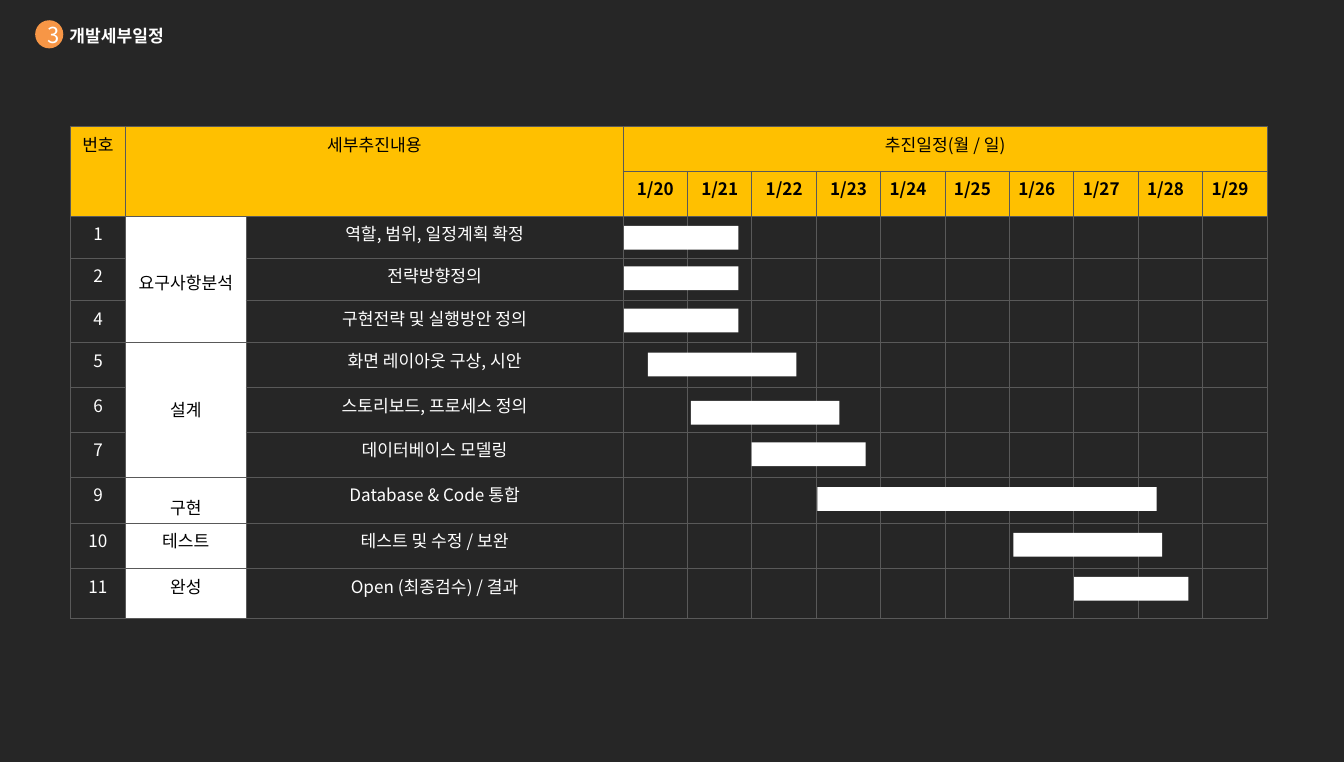
from dataclasses import dataclass

from lxml.etree import SubElement
from pptx import Presentation
from pptx.dml.color import RGBColor
from pptx.enum.shapes import MSO_SHAPE as Preset
from pptx.enum.text import MSO_ANCHOR as Anchor, MSO_AUTO_SIZE as AutoSize, PP_ALIGN as Align
from pptx.oxml.ns import qn
from pptx.util import Inches, Pt

FONT = "Noto Sans CJK KR"
COLORS = {
    "background": "262626",
    "header": "FFC000",
    "grid": "595959",
    "badge": "F79646",
    "light": "FFFFFF",
    "dark": "000000",
}
SLIDE_WIDTH = 15.29
SLIDE_HEIGHT = 8.664
DAY_COUNT = 10
FIRST_DAY = 20
CENTERED_DAYS = 4
FIRST_DAY_COLUMN = 3
HEADER_ROWS = 2
BAR_HEIGHT = 0.27
COLUMN_WIDTHS = [0.63, 1.37, 4.29] + [7.33 / DAY_COUNT] * DAY_COUNT
ROW_HEIGHTS = [0.51] * 2 + [0.48] * 3 + [0.51] * 3 + [0.52, 0.52, 0.56]


@dataclass
class Task:
    number: int
    content: str
    bar_left: float
    bar_top: float
    bar_width: float


@dataclass
class Phase:
    name: str
    tasks: list[Task]
    top_margin: float = 0.05
    line_spacing: float = 1.0


PHASES = [
    Phase("요구사항분석", [
        Task(1, "역할, 범위, 일정계획 확정", 7.1, 2.57, 1.3),
        Task(2, "전략방향정의", 7.1, 3.03, 1.3),
        Task(4, "구현전략 및 실행방안 정의", 7.1, 3.51, 1.3),
    ], top_margin=0.61),
    Phase("설계", [
        Task(5, "화면 레이아웃 구상, 시안", 7.37, 4.01, 1.69),
        Task(6, "스토리보드, 프로세스 정의", 7.86, 4.56, 1.69),
        Task(7, "데이터베이스 모델링", 8.55, 5.03, 1.3),
    ], top_margin=0.61),
    Phase("구현", [Task(9, "Database & Code 통합", 9.3, 5.54, 3.86)], line_spacing=1.5),
    Phase("테스트", [Task(10, "테스트 및 수정 / 보완", 11.53, 6.06, 1.69)]),
    Phase("완성", [Task(11, "Open (최종검수) / 결과", 12.22, 6.56, 1.3)]),
]


def rgb(color: str) -> RGBColor:
    return RGBColor.from_string(COLORS[color])


def write(frame, text: str, *, color: str = "light", size: int = 14, bold: bool = False,
          align: Align = Align.CENTER, line_spacing: float = 1.0) -> None:
    paragraph = frame.paragraphs[0]
    paragraph.alignment = align
    paragraph.line_spacing = line_spacing
    run = paragraph.add_run()
    run.text = text
    run.font.size = Pt(size)
    run.font.bold = bold
    run.font.color.rgb = rgb(color)
    run.font.name = FONT
    SubElement(run.font._element, qn("a:ea"), typeface=FONT)


def add_solid(slide, preset: Preset, left: float, top: float, width: float, height: float,
              color: str):
    solid = slide.shapes.add_shape(preset, Inches(left), Inches(top), Inches(width), Inches(height))
    solid.shadow.inherit = False
    solid.fill.solid()
    solid.fill.fore_color.rgb = rgb(color)
    solid.line.fill.background()
    return solid


def outline(cell) -> None:
    properties = cell._tc.get_or_add_tcPr()
    for side in ("lnL", "lnR", "lnT", "lnB"):
        border = SubElement(properties, qn(f"a:{side}"), w=str(Pt(1)))
        fill = SubElement(border, qn("a:solidFill"))
        SubElement(fill, qn("a:srgbClr"), val=COLORS["grid"])


def paint(cell, color: str) -> None:
    cell.fill.solid()
    cell.fill.fore_color.rgb = rgb(color)


def add_grid(slide):
    schedule = slide.shapes.add_table(
        len(ROW_HEIGHTS), len(COLUMN_WIDTHS), Inches(0.8), Inches(1.44),
        Inches(sum(COLUMN_WIDTHS)), Inches(sum(ROW_HEIGHTS))).table
    schedule.first_row = False
    schedule.horz_banding = False
    for column, width in zip(schedule.columns, COLUMN_WIDTHS):
        column.width = Inches(width)
    for row_index, (row, height) in enumerate(zip(schedule.rows, ROW_HEIGHTS)):
        row.height = Inches(height)
        for cell in row.cells:
            outline(cell)
            if row_index < HEADER_ROWS:
                paint(cell, "header")
            else:
                cell.fill.background()
    return schedule


def add_headers(schedule) -> None:
    last_column = FIRST_DAY_COLUMN + DAY_COUNT - 1
    headings = [
        ("번호", 0, 1, 0),
        ("세부추진내용", 1, 1, 2),
        ("추진일정(월 / 일)", FIRST_DAY_COLUMN, 0, last_column),
    ]
    for heading, first_column, end_row, end_column in headings:
        cell = schedule.cell(0, first_column)
        cell.merge(schedule.cell(end_row, end_column))
        write(cell.text_frame, heading, color="dark")
    for day in range(DAY_COUNT):
        write(schedule.cell(1, FIRST_DAY_COLUMN + day).text_frame, f"1/{FIRST_DAY + day}",
              color="dark", bold=True,
              align=Align.CENTER if day < CENTERED_DAYS else Align.LEFT)


def add_phases(slide, schedule) -> None:
    row = HEADER_ROWS
    for phase in PHASES:
        phase_cell = schedule.cell(row, 1)
        if len(phase.tasks) > 1:
            phase_cell.merge(schedule.cell(row + len(phase.tasks) - 1, 1))
        phase_cell.margin_top = Inches(phase.top_margin)
        write(phase_cell.text_frame, phase.name, color="dark", line_spacing=phase.line_spacing)
        for task in phase.tasks:
            paint(schedule.cell(row, 1), "light")
            write(schedule.cell(row, 0).text_frame, str(task.number))
            write(schedule.cell(row, 2).text_frame, task.content)
            add_solid(slide, Preset.RECTANGLE, task.bar_left, task.bar_top,
                      task.bar_width, BAR_HEIGHT, "light")
            row += 1


def add_title(slide) -> None:
    title = slide.shapes.title
    title.left, title.top = Inches(0.69), Inches(0.24)
    title.width, title.height = Inches(2.67), Inches(0.34)
    title.text_frame.word_wrap = True
    title.text_frame.auto_size = AutoSize.SHAPE_TO_FIT_TEXT
    title.text_frame.vertical_anchor = Anchor.TOP
    write(title.text_frame, "개발세부일정", bold=True, align=Align.LEFT)
    badge = add_solid(slide, Preset.OVAL, 0.4, 0.23, 0.32, 0.32, "badge")
    badge.text_frame.vertical_anchor = Anchor.MIDDLE
    write(badge.text_frame, "3", size=18)


def main() -> None:
    deck = Presentation()
    deck.slide_width, deck.slide_height = Inches(SLIDE_WIDTH), Inches(SLIDE_HEIGHT)
    slide = deck.slides.add_slide(deck.slide_layouts[5])
    slide.background.fill.solid()
    slide.background.fill.fore_color.rgb = rgb("background")
    add_title(slide)
    schedule = add_grid(slide)
    add_headers(schedule)
    add_phases(slide, schedule)
    deck.save("out.pptx")


if __name__ == "__main__":
    main()
